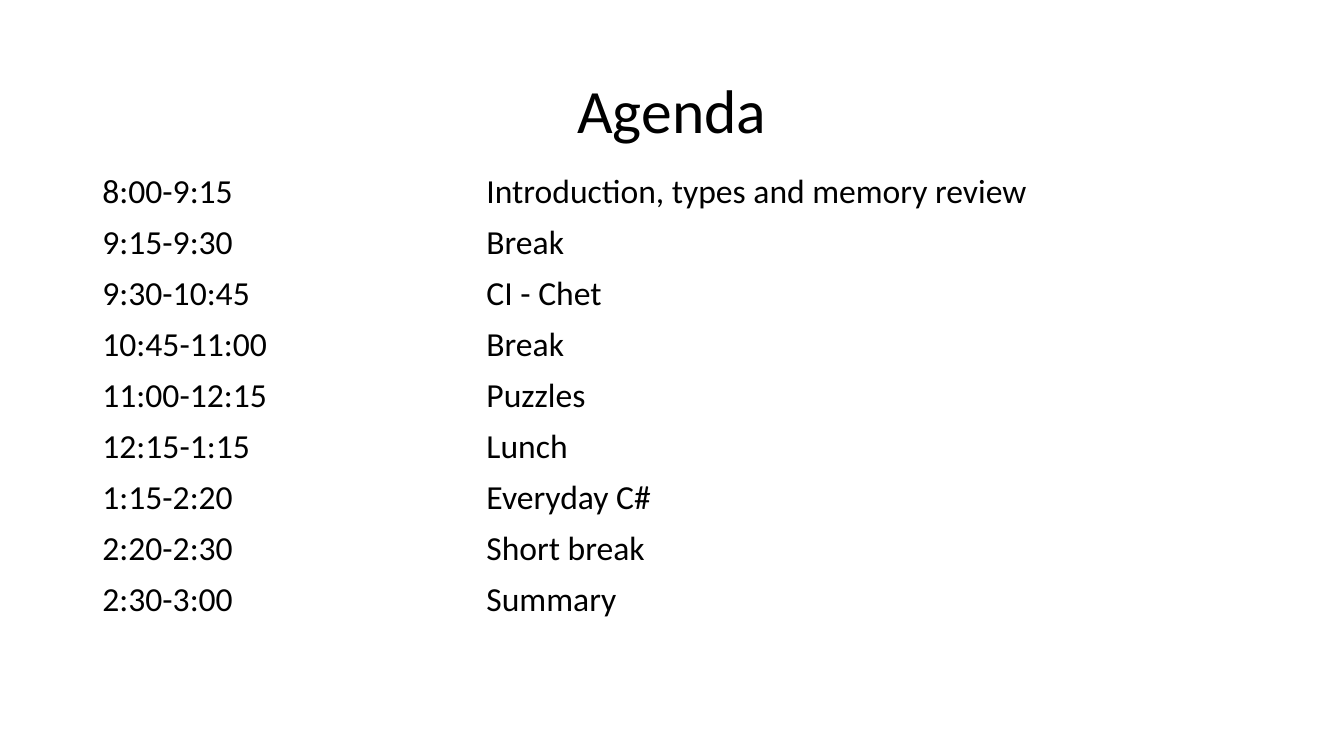
import pptx
import pptx.dml.color
import pptx.enum.text
import pptx.util

Pt = pptx.util.Pt
ALIGN = pptx.enum.text.PP_ALIGN
ANCHOR = pptx.enum.text.MSO_ANCHOR
BLACK = pptx.dml.color.RGBColor(0, 0, 0)
WHITE = pptx.dml.color.RGBColor(255, 255, 255)
FONT = "Calibri"

AGENDA = [
    ("8:00-9:15", "Introduction, types and memory review"),
    ("9:15-9:30", "Break"),
    ("9:30-10:45", "CI - Chet"),
    ("10:45-11:00", "Break"),
    ("11:00-12:15", "Puzzles"),
    ("12:15-1:15", "Lunch"),
    ("1:15-2:20", "Everyday C#"),
    ("2:20-2:30", "Short break"),
    ("2:30-3:00", "Summary"),
]


def write(frame, text, size=24, align=ALIGN.LEFT, lead=1.0):
    para = frame.paragraphs[0]
    para.alignment = align
    para.line_spacing = lead
    run = para.add_run()
    run.text = text
    run.font.name = FONT
    run.font.size = Pt(size)
    run.font.color.rgb = BLACK


def add_title(slide, text, left, top, width, height):
    box = slide.shapes.add_textbox(Pt(left), Pt(top), Pt(width), Pt(height))
    frame = box.text_frame
    frame.word_wrap = True
    frame.vertical_anchor = ANCHOR.MIDDLE
    write(frame, text, size=44, align=ALIGN.CENTER, lead=0.9)


def add_agenda(slide, items, left, top, width, height):
    frame = slide.shapes.add_table(
        len(items), 2, Pt(left), Pt(top), Pt(width), Pt(height))
    table = frame.table
    table.first_row = False
    table.horz_banding = False

    # Time column takes about a third of the width
    first = 274.3
    table.columns[0].width = Pt(first)
    table.columns[1].width = Pt(width - first)

    for row, texts in zip(table.rows, items):
        row.height = Pt(height / len(items))
        for cell, text in zip(row.cells, texts):
            cell.fill.background()
            write(cell.text_frame, text)


def main():
    deck = pptx.Presentation()
    deck.slide_width = Pt(960)
    deck.slide_height = Pt(540)
    slide = deck.slides.add_slide(deck.slide_layouts[6])
    slide.background.fill.solid()
    slide.background.fill.fore_color.rgb = WHITE

    # Title above the timetable, both on the same margins
    add_title(slide, "Agenda", 66, 28.75, 828, 104.4)
    add_agenda(slide, AGENDA, 66, 118.8, 828, 328.5)
    deck.save("out.pptx")


if __name__ == "__main__":
    main()
